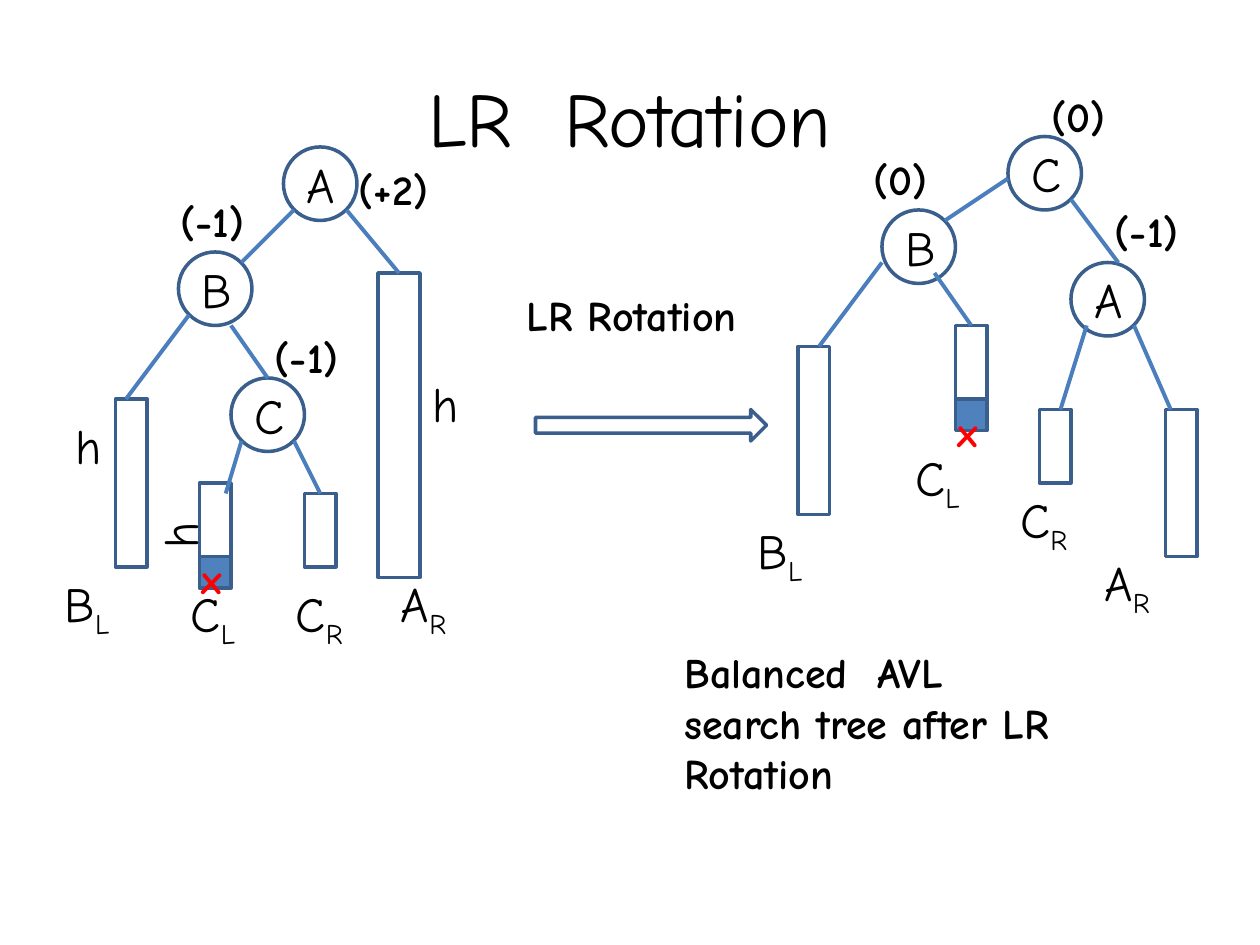
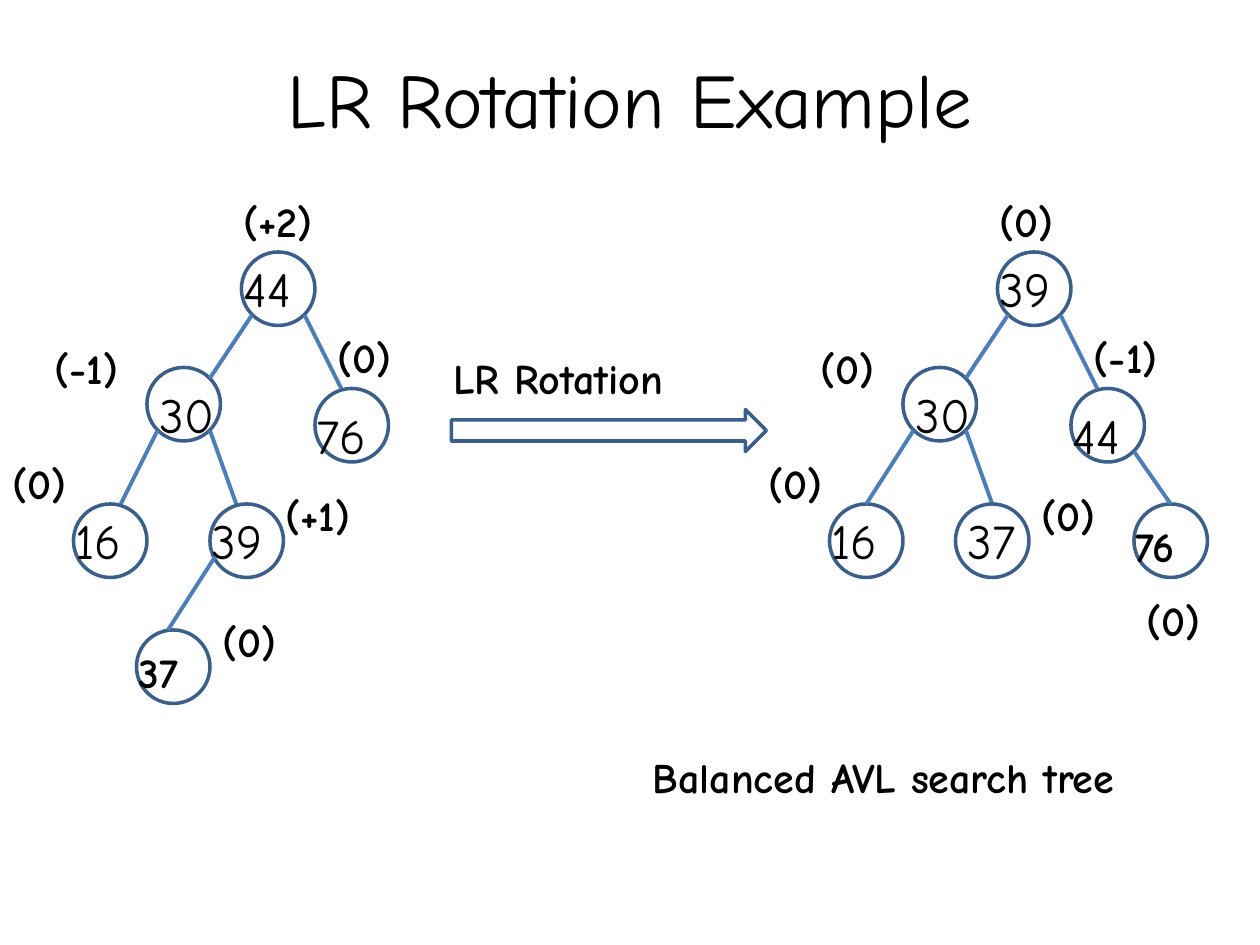
"""Two slides on the LR rotation of an AVL search tree."""
from lxml import etree
from pptx import Presentation, util as u
from pptx.dml.color import RGBColor
from pptx.enum import shapes, text
from pptx.oxml.ns import qn


def color(hex_string):
    """Turn a hex string into a colour."""
    return RGBColor.from_string(hex_string)


class TreeDeck:
    """Holds the style and the current slide, on a grid of 120 columns by 90 rows."""

    FONT = "Comic Neue"
    BLACK, RED, BLUE = "000000", "FF0000", "4F81BD"
    OUTLINE, EDGE = "3A5F8C", "4B7EBC"
    TITLE_SIZE, LETTER_SIZE, NOTE_SIZE = 44, 28, 24
    CIRCLE = 7

    def __init__(self):
        """Open a presentation of 10 by 7.5 inches."""
        self.presentation = Presentation()
        self.presentation.slide_width = u.Inches(10)
        self.presentation.slide_height = u.Inches(7.5)
        self.unit = self.presentation.slide_width / 120
        self.slide = None

    def grid(self, *steps):
        """Convert grid steps to lengths."""
        return [u.Emu(round(step * self.unit)) for step in steps]

    def new_slide(self, title, height):
        """Start a blank slide with a centred title."""
        self.slide = self.presentation.slides.add_slide(self.presentation.slide_layouts[6])
        box = self.text_box(6, 3.6, 108, height, title, self.TITLE_SIZE)
        self.center(box)

    def center(self, shape):
        """Centre the text of a shape both ways."""
        shape.text_frame.vertical_anchor = text.MSO_ANCHOR.MIDDLE
        shape.text_frame.paragraphs[0].alignment = text.PP_ALIGN.CENTER

    def add_run(self, shape, words, size, bold=False, ink=BLACK):
        """Append one styled run to a shape."""
        run = shape.text_frame.paragraphs[0].add_run()
        run.text = words
        run.font.name = self.FONT
        run.font.size = u.Pt(size)
        run.font.bold = bold
        run.font.color.rgb = color(ink)
        return run

    def text_box(self, column, row, width, height, words, size, bold=False, ink=BLACK):
        """Add a wrapping text box."""
        box = self.slide.shapes.add_textbox(*self.grid(column, row, width, height))
        box.text_frame.word_wrap = True
        self.add_run(box, words, size, bold, ink)
        return box

    def note(self, column, row, words, width=15, height=6, ink=BLACK):
        """Add a bold note, such as a balance factor."""
        self.text_box(column, row, width, height, words, self.NOTE_SIZE, True, ink)

    def letter(self, column, row, words, width=10, subscript=None):
        """Add a letter with an optional subscript."""
        box = self.text_box(column, row, width, 6.8, words, self.LETTER_SIZE)
        if subscript:
            run = self.add_run(box, subscript, self.LETTER_SIZE)
            run.font._element.set("baseline", "-25000")
        return box

    def outline(self, kind, column, row, width, height, fill=None):
        """Add an outlined preset shape."""
        shape = self.slide.shapes.add_shape(kind, *self.grid(column, row, width, height))
        shape.shadow.inherit = False
        shape.line.color.rgb = color(self.OUTLINE)
        shape.line.width = u.Pt(2)
        if fill:
            shape.fill.solid()
            shape.fill.fore_color.rgb = color(fill)
        else:
            shape.fill.background()
        return shape

    def bar(self, column, row, height, width=3, fill=None):
        """Add a subtree bar."""
        self.outline(shapes.MSO_SHAPE.RECTANGLE, column, row, width, height, fill)

    def arrow(self, column, row, width, height):
        """Add a block arrow pointing right."""
        self.outline(shapes.MSO_SHAPE.RIGHT_ARROW, column, row, width, height)

    def circle(self, column, row):
        """Add the circle of a tree node."""
        return self.outline(shapes.MSO_SHAPE.OVAL, column, row, self.CIRCLE, self.CIRCLE)

    def letter_node(self, column, row, name):
        """Add a node with a centred letter."""
        node = self.circle(column, row)
        self.add_run(node, name, self.LETTER_SIZE)
        self.center(node)

    def number_node(self, column, row, key, shift, drop, bold=False):
        """Add a node with its key in a shifted text box."""
        self.circle(column, row)
        size = self.NOTE_SIZE if bold else self.LETTER_SIZE
        self.text_box(column + shift, row + drop, 10, 6.8, key, size, bold)

    def edge(self, *ends):
        """Draw a tree edge between two grid points."""
        line = self.slide.shapes.add_connector(shapes.MSO_CONNECTOR.STRAIGHT, *self.grid(*ends))
        line.line.color.rgb = color(self.EDGE)
        line.line.width = u.Pt(2.25)
        etree.SubElement(line._element.spPr, qn("a:effectLst"))


def rotation_slide(deck):
    """Show the general LR rotation with subtree heights."""
    deck.new_slide("LR  Rotation", 15)
    for column, row in ((19, 53), (91, 38)):
        deck.bar(column, row, 3, fill=deck.BLUE)
    for column, row, height in ((11, 38, 16), (19, 46, 7), (29, 47, 7),
                                (76, 33, 16), (91, 31, 7), (99, 39, 7), (111, 39, 14)):
        deck.bar(column, row, height)
    deck.bar(36, 26, 29, width=4)
    for column, row, name in ((27, 14, "A"), (17, 24, "B"), (22, 36, "C"),
                              (96, 13, "C"), (84, 20, "B"), (102, 25, "A")):
        deck.letter_node(column, row, name)
    for ends in ((23, 25, 28, 20), (33, 20, 38, 26), (18, 30, 12, 38),
                 (22, 31, 25.5, 36), (23, 42, 21.5, 47), (28, 42, 30.5, 47),
                 (90, 21, 96, 17), (102, 19, 106.5, 25), (84, 25, 78, 33),
                 (89, 26, 92.5, 31), (103.5, 31, 101, 39), (108, 31, 111.5, 39)):
        deck.edge(*ends)
    for column, row, name, side in (
            (5, 54, "B", "L"), (17, 55, "C", "L"), (27, 55, "C", "R"), (37, 54, "A", "R"),
            (71, 49, "B", "L"), (86, 42, "C", "L"), (96, 46, "C", "R"), (104, 52, "A", "R")):
        deck.letter(column, row, name, subscript=side)
    for column, row in ((6, 39), (40, 35)):
        deck.letter(column, row, "h", width=4)
    deck.letter(13, 46, "h", width=8).rotation = 270
    for column, row, factor in ((33, 15, "(+2)"), (16, 18, "(-1)"), (25, 31, "(-1)"),
                                (99, 8, "(0)"), (82, 14, "(0)"), (105, 19, "(-1)")):
        deck.note(column, row, factor)
    for column, row in ((18, 52), (90, 38)):
        deck.note(column, row, "x", width=6, ink=deck.RED)
    deck.note(49, 27, "LR Rotation", width=26)
    deck.arrow(51, 39, 22, 3)
    deck.note(64, 61, "Balanced  AVL search tree after LR Rotation", width=38, height=15.7)


def example_slide(deck):
    """Show the LR rotation on a tree of numbers."""
    deck.new_slide("LR Rotation Example", 11.4)
    tree_gap = 72
    for start, root, right in ((0, "44", "76"), (tree_gap, "39", "44")):
        for column, row, key, shift, drop in ((23, 24, root, -1, 0), (14, 35, "30", 0, 1),
                                              (30, 37, right, -1, 1), (7, 48, "16", -1, 0)):
            deck.number_node(start + column, row, key, shift, drop)
        for left, top, end, bottom in ((24, 30, 20, 36), (20, 41, 22.5, 48), (29, 30, 32.5, 37)):
            deck.edge(start + left, top, start + end, bottom)
    deck.number_node(20, 48, "39", -1, 0)
    deck.number_node(91, 48, "37", 0, 0)
    deck.number_node(13, 60, "37", -1, 1, bold=True)
    deck.number_node(108, 48, "76", -1, 1, bold=True)
    for ends in ((15, 41, 11.5, 48), (20.5, 53, 16, 60),
                 (87, 41, 82.5, 48), (108, 43, 111.5, 48)):
        deck.edge(*ends)
    for column, row, factor in (
            (22, 18, "(+2)"), (4, 32, "(-1)"), (31, 31, "(0)"),
            (0, 43, "(0)"), (26, 46, "(+1)"), (20, 58, "(0)"),
            (94, 18, "(0)"), (77, 32, "(0)"), (103, 31, "(-1)"),
            (72, 43, "(0)"), (98, 46, "(0)"), (108, 56, "(0)")):
        deck.note(column, row, factor, width=12)
    deck.note(42, 33, "LR Rotation", width=25)
    deck.arrow(43, 39, 30, 4)
    deck.note(61, 71, "Balanced AVL search tree", width=55)


def main():
    """Build and save the presentation."""
    deck = TreeDeck()
    rotation_slide(deck)
    example_slide(deck)
    deck.presentation.save("out.pptx")


if __name__ == "__main__":
    main()
